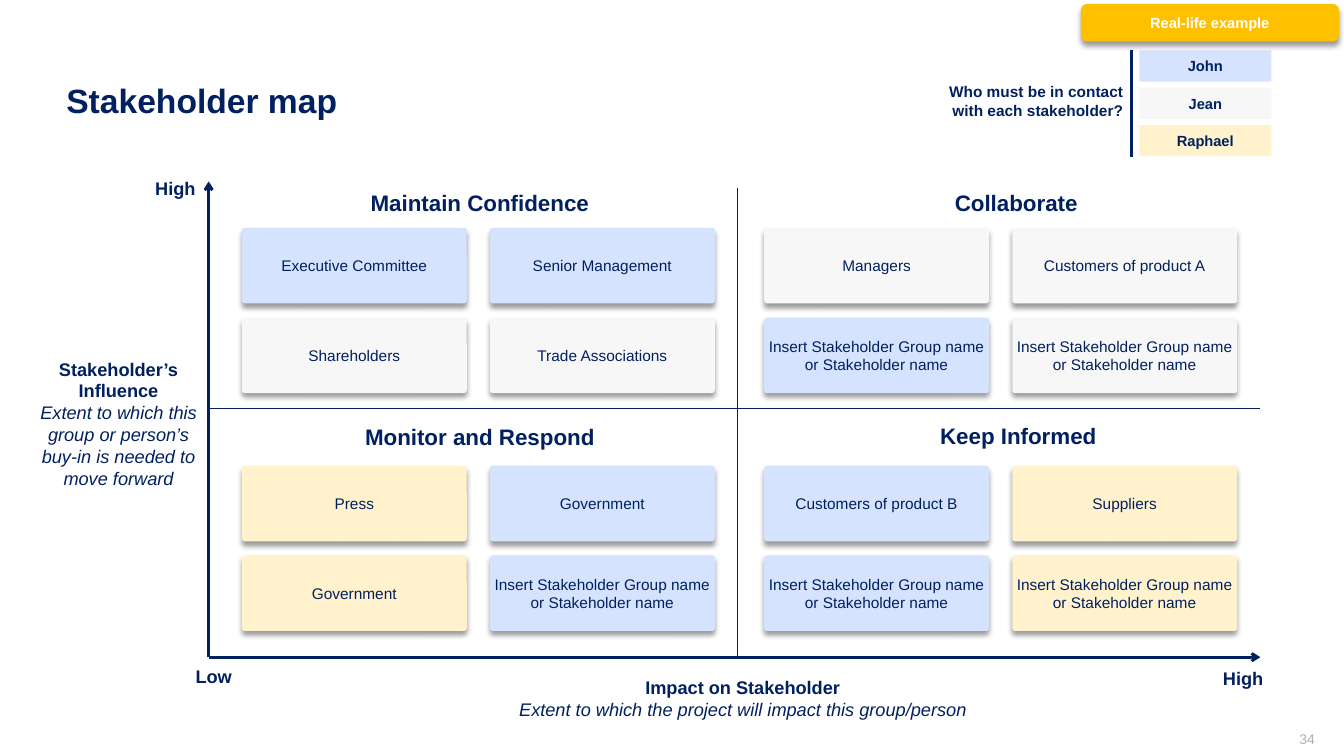
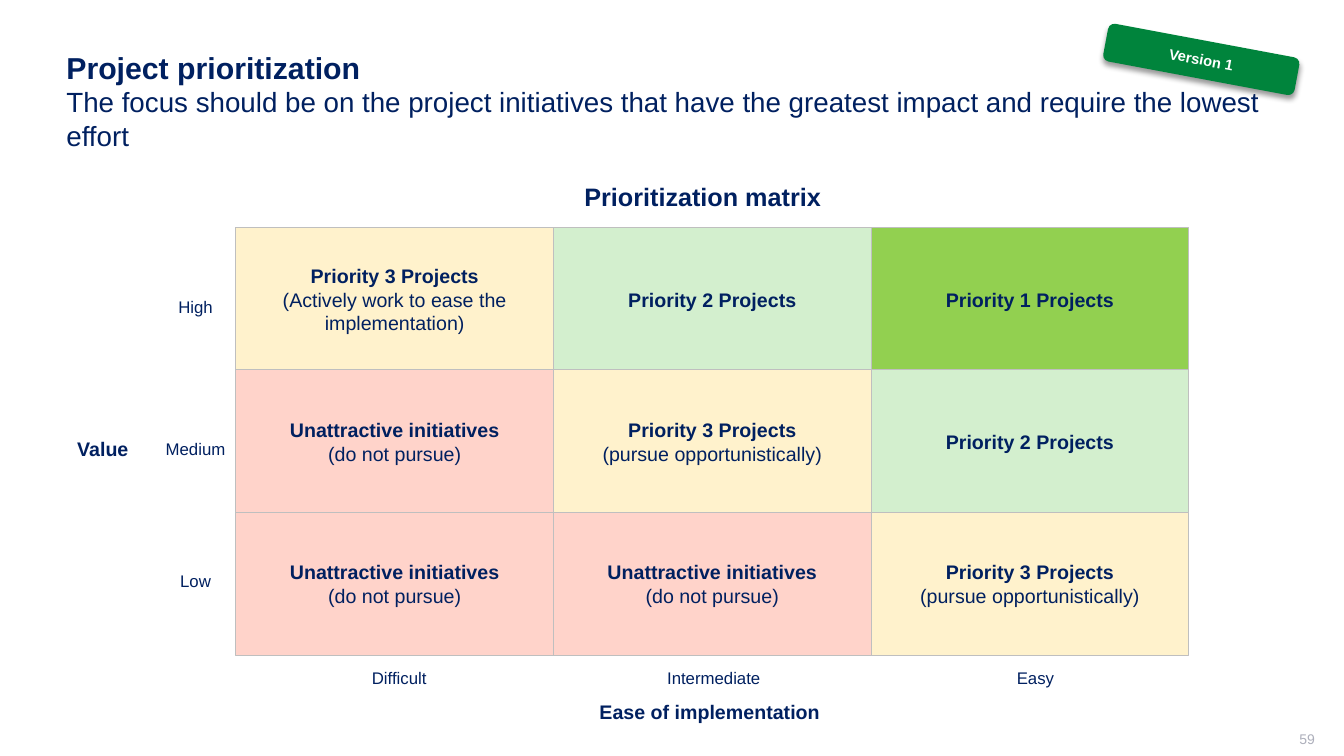
"""Build a stakeholder map slide and a project prioritization slide."""
from itertools import product

from lxml.etree import SubElement
from pptx import Presentation
from pptx.dml.color import RGBColor
from pptx.enum.shapes import MSO_CONNECTOR, MSO_SHAPE
from pptx.enum.text import MSO_ANCHOR, PP_ALIGN
from pptx.oxml.ns import qn
from pptx.util import Inches, Pt

FONT = "Arial"
NAVY = RGBColor(0x00, 0x20, 0x60)
WHITE = RGBColor(0xFF, 0xFF, 0xFF)
PAGE_GRAY = RGBColor(0xAD, 0xAF, 0xBB)
BORDER_GRAY = RGBColor(0xBF, 0xBF, 0xBF)
BLUE = RGBColor(0xD6, 0xE3, 0xFF)
GRAY = RGBColor(0xF7, 0xF7, 0xF7)
YELLOW = RGBColor(0xFF, 0xF2, 0xCC)
LIGHT_GREEN = RGBColor(0xD3, 0xEF, 0xCE)
BRIGHT_GREEN = RGBColor(0x92, 0xD0, 0x50)
RED = RGBColor(0xFF, 0xD3, 0xCA)
AMBER = RGBColor(0xFF, 0xC0, 0x00)
DARK_GREEN = RGBColor(0x00, 0x84, 0x3C)

CENTER, LEFT, RIGHT = PP_ALIGN.CENTER, PP_ALIGN.LEFT, PP_ALIGN.RIGHT
TOP, MIDDLE = MSO_ANCHOR.TOP, MSO_ANCHOR.MIDDLE
NORMAL_INSETS = (0.1, 0.05, 0.1, 0.05)
CARD_INSETS = (0.02, 0.05, 0.02, 0.05)
LABEL_INSETS = (0.07, 0.04, 0.07, 0.04)
WIDE_INSETS = (0.2, 0.1, 0.2, 0.1)

PLACEHOLDER_NAME = "Insert Stakeholder Group name or Stakeholder name"
CONTACTS = [("John", BLUE), ("Jean", GRAY), ("Raphael", YELLOW)]
QUADRANTS = [
    ("Maintain Confidence", 4.76, 1.84, 2.4, 2.26,
     [("Executive Committee", BLUE), ("Senior Management", BLUE),
      ("Shareholders", GRAY), ("Trade Associations", GRAY)]),
    ("Collaborate", 10.08, 1.84, 7.58, 2.26,
     [("Managers", GRAY), ("Customers of product A", GRAY),
      (PLACEHOLDER_NAME, BLUE), (PLACEHOLDER_NAME, GRAY)]),
    ("Monitor and Respond", 4.76, 4.16, 2.4, 4.62,
     [("Press", YELLOW), ("Government", BLUE),
      ("Government", YELLOW), (PLACEHOLDER_NAME, BLUE)]),
    ("Keep Informed", 10.1, 4.15, 7.58, 4.62,
     [("Customers of product B", BLUE), ("Suppliers", YELLOW),
      (PLACEHOLDER_NAME, BLUE), (PLACEHOLDER_NAME, YELLOW)]),
]

UNATTRACTIVE = ("Unattractive initiatives", "(do not pursue)", RED)
OPPORTUNISTIC = ("Priority 3 Projects", "(pursue opportunistically)", YELLOW)
SECOND_PRIORITY = ("Priority 2 Projects", "", LIGHT_GREEN)
MATRIX = [
    [("Priority 3 Projects", "(Actively work to ease the implementation)", YELLOW),
     SECOND_PRIORITY, ("Priority 1 Projects", "", BRIGHT_GREEN)],
    [UNATTRACTIVE, OPPORTUNISTIC, SECOND_PRIORITY],
    [UNATTRACTIVE, UNATTRACTIVE, OPPORTUNISTIC],
]


def write_text(shape, *lines, size=11, color=NAVY, bold=False, align=CENTER,
               anchor=MIDDLE, insets=NORMAL_INSETS, wrap=True):
    """Fill a shape with paragraphs; a line is text or (text, font overrides)."""
    frame = shape.text_frame
    frame.word_wrap = wrap
    frame.vertical_anchor = anchor
    (frame.margin_left, frame.margin_top,
     frame.margin_right, frame.margin_bottom) = map(Inches, insets)
    for index, line in enumerate(lines):
        text, overrides = (line, {}) if isinstance(line, str) else line
        paragraph = frame.add_paragraph() if index else frame.paragraphs[0]
        paragraph.alignment = align
        run = paragraph.add_run()
        run.text = text
        run.font.name = FONT
        run.font.size = Pt(overrides.get("size", size))
        run.font.bold = overrides.get("bold", bold)
        run.font.italic = overrides.get("italic", False)
        run.font.color.rgb = color


def add_text(slide, box, *lines, **text_format):
    """Add a text box at (left, top, width, height) in inches."""
    write_text(slide.shapes.add_textbox(*map(Inches, box)), *lines, **text_format)


def add_label(slide, center, top, text, **text_format):
    """Add a one-line label centred on a horizontal position."""
    add_text(slide, (center - 1.5, top, 3, 0.34), text, anchor=TOP,
             wrap=False, **text_format)


def add_box(slide, box, fill, *lines, kind=MSO_SHAPE.ROUNDED_RECTANGLE,
            corner=None, border=None, shadow=False, **text_format):
    """Add a filled shape with text, optionally bordered or shadowed."""
    shape = slide.shapes.add_shape(kind, *map(Inches, box))
    if corner is not None:
        shape.adjustments[0] = corner
    shape.fill.solid()
    shape.fill.fore_color.rgb = fill
    if border is None:
        shape.line.fill.background()
    else:
        shape.line.color.rgb = border
        shape.line.width = Pt(0.75)
    shape.shadow.inherit = False
    if shadow:
        add_drop_shadow(shape)
    write_text(shape, *lines, **text_format)
    return shape


def add_drop_shadow(shape):
    """Give a shape a soft black shadow falling straight down."""
    effects = shape._element.spPr.find(qn("a:effectLst"))
    outer = SubElement(effects, qn("a:outerShdw"), blurRad=str(Pt(4)),
                       dist=str(Pt(3)), dir="5400000", algn="t", rotWithShape="0")
    black = SubElement(outer, qn("a:srgbClr"), val="000000")
    SubElement(black, qn("a:alpha"), val="40000")


def add_line(slide, start, end, width, arrow=False):
    """Draw a navy line between two points, with an optional arrowhead."""
    connector = slide.shapes.add_connector(
        MSO_CONNECTOR.STRAIGHT, *map(Inches, start + end))
    connector.line.color.rgb = NAVY
    connector.line.width = Pt(width)
    properties = connector._element.spPr
    if arrow:
        SubElement(properties.find(qn("a:ln")), qn("a:tailEnd"), type="arrow")
    SubElement(properties, qn("a:effectLst"))


def add_tag(slide, box, fill, text, rotation=0):
    """Add the corner tag."""
    tag = add_box(slide, box, fill, text, shadow=True, size=10.5, bold=True,
                  color=WHITE)
    tag.rotation = rotation


def add_slide(presentation, number, title_width, *title_lines):
    """Add a blank slide with its title and page number."""
    slide = presentation.slides.add_slide(presentation.slide_layouts[6])
    add_text(slide, (0.56, 0.4, title_width, 1.19), *title_lines,
             size=24, bold=True, align=LEFT)
    add_text(slide, (10.04, 7.25, 3, 0.21), str(number), size=10,
             color=PAGE_GRAY, align=RIGHT, insets=(0.1, 0, 0, 0.05))
    return slide


def add_contact_legend(slide):
    """Add the colour legend of contact persons."""
    add_text(slide, (9.1, 0.77, 2.14, 0.49),
             "Who must be in contact with each stakeholder?",
             bold=True, align=RIGHT, anchor=TOP)
    add_line(slide, (11.22, 0.5), (11.22, 1.56), 2.25)
    for index, (name, fill) in enumerate(CONTACTS):
        add_box(slide, (11.3, 0.5 + 0.37 * index, 1.31, 0.31), fill, name,
                corner=0.04, size=10.5, bold=True, insets=CARD_INSETS)


def add_axes(slide):
    """Add the map's axes, dividers and axis labels."""
    origin = (2.07, 6.52)
    add_line(slide, (2.07, 4.05), (12.5, 4.05), 0.75)
    add_line(slide, (7.31, 6.52), (7.31, 1.87), 0.75)
    add_line(slide, origin, (2.07, 1.8), 2, arrow=True)
    add_line(slide, origin, (12.5, 6.52), 2, arrow=True)
    for text, center, top in [("High", 1.74, 1.72), ("Low", 2.12, 6.56),
                              ("High", 12.33, 6.58)]:
        add_label(slide, center, top, text, size=13, bold=True,
                  insets=LABEL_INSETS)
    explanation = {"bold": False, "italic": True}
    axis_format = {"size": 13, "bold": True, "anchor": TOP, "insets": LABEL_INSETS}
    add_text(slide, (0.22, 3.51, 1.91, 1.38), "Stakeholder’s Influence",
             ("Extent to which this group or person’s buy-in is needed to move forward",
              explanation), **axis_format)
    add_text(slide, (4.64, 6.67, 5.45, 0.61), "Impact on Stakeholder",
             ("Extent to which the project will impact this group/person",
              explanation), **axis_format)


def add_quadrant(slide, heading, center, heading_top, left, top, stakeholders):
    """Add a heading and a two-by-two grid of stakeholder cards."""
    add_label(slide, center, heading_top, heading, size=16, bold=True,
              insets=LABEL_INSETS)
    for (row, column), (name, fill) in zip(product(range(2), repeat=2), stakeholders):
        add_box(slide, (left + 2.46 * column, top + 0.89 * row, 2.23, 0.75),
                fill, name, corner=0.04, shadow=True, insets=CARD_INSETS)


def build_stakeholder_map(presentation):
    """Build the stakeholder map slide."""
    slide = add_slide(presentation, 34, 7.7, "Stakeholder map")
    add_contact_legend(slide)
    add_axes(slide)
    for quadrant in QUADRANTS:
        add_quadrant(slide, *quadrant)
    add_tag(slide, (10.72, 0.04, 2.56, 0.37), AMBER, "Real-life example")


def build_prioritization(presentation):
    """Build the project prioritization slide."""
    slide = add_slide(
        presentation, 59, 12.11, ("Project prioritization", {"size": 21.6}),
        ("The focus should be on the project initiatives that have the greatest "
         "impact and require the lowest effort", {"size": 19.8, "bold": False}))
    add_text(slide, (4.94, 1.8, 4.06, 0.3), "Prioritization matrix", size=18,
             bold=True, insets=(0.08, 0, 0.08, 0))
    for row, column in product(range(3), repeat=2):
        heading, detail, fill = MATRIX[row][column]
        lines = [heading] + ([(detail, {"bold": False})] if detail else [])
        add_box(slide, (2.34 + 3.15 * column, 2.26 + 1.41 * row, 3.15, 1.42),
                fill, *lines, kind=MSO_SHAPE.RECTANGLE, border=BORDER_GRAY,
                size=14, bold=True)
    for text, center, top in [
            ("High", 1.94, 2.89), ("Medium", 1.94, 4.3), ("Low", 1.94, 5.61),
            ("Difficult", 3.96, 6.58), ("Intermediate", 7.08, 6.58),
            ("Easy", 10.27, 6.58)]:
        add_label(slide, center, top, text, size=12)
    for text, center, top in [("Value", 1.02, 4.23),
                              ("Ease of implementation", 7.04, 6.84)]:
        add_label(slide, center, top, text, size=14, bold=True, insets=WIDE_INSETS)
    add_tag(slide, (10.95, 0.4, 1.93, 0.38), DARK_GREEN, "Version 1", rotation=10.6)


def main():
    """Create and save the presentation."""
    presentation = Presentation()
    presentation.slide_width = Inches(13.33)
    presentation.slide_height = Inches(7.5)
    build_stakeholder_map(presentation)
    build_prioritization(presentation)
    presentation.save("out.pptx")


if __name__ == "__main__":
    main()
